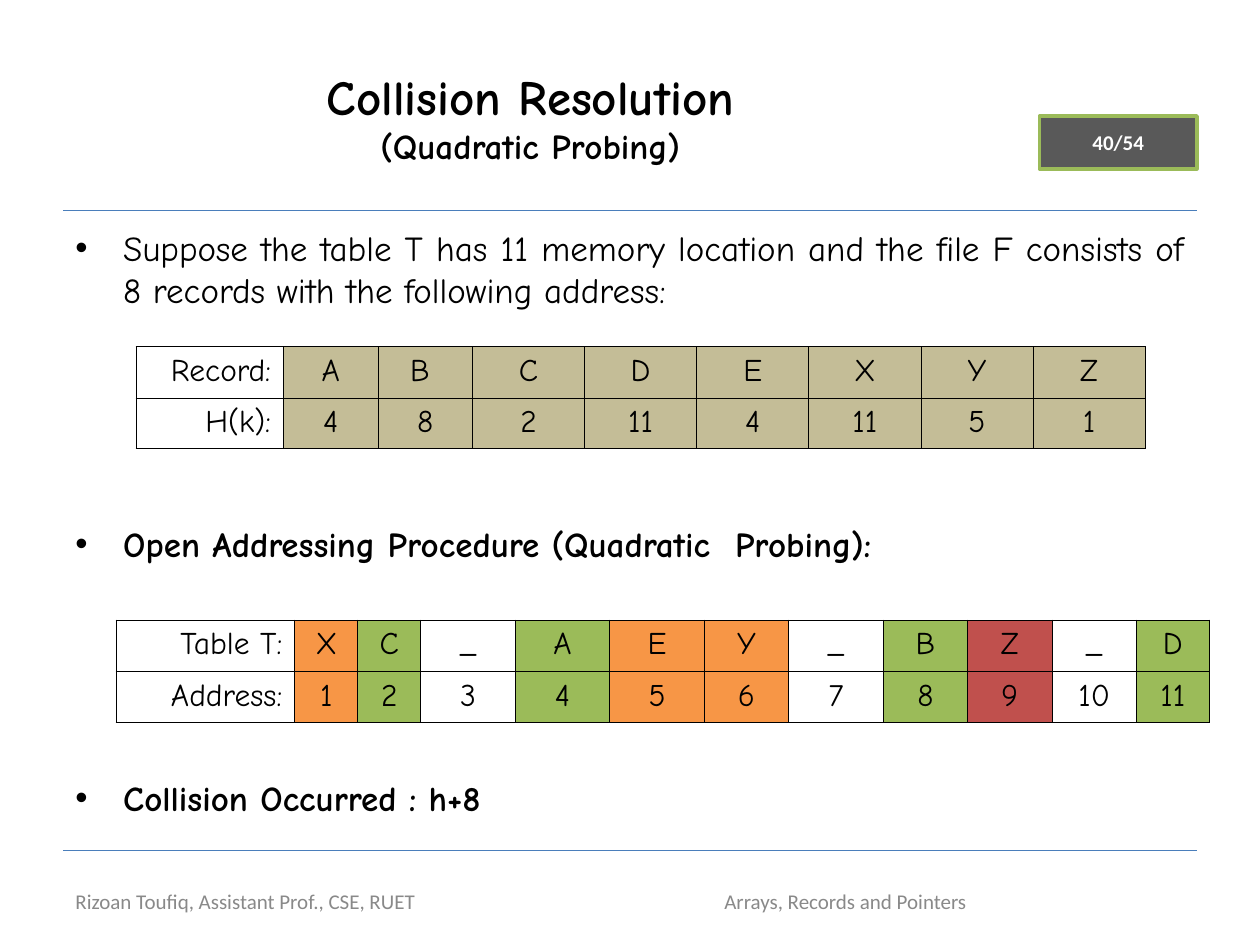
from dataclasses import dataclass

from lxml.etree import SubElement
from pptx import Presentation
from pptx.dml.color import RGBColor
from pptx.enum.shapes import MSO_CONNECTOR as Connector, MSO_SHAPE as Shape
from pptx.enum.text import MSO_ANCHOR as Anchor, MSO_AUTO_SIZE as AutoSize, PP_ALIGN as Align
from pptx.oxml import parse_xml
from pptx.oxml.ns import nsdecls, qn
from pptx.util import Inches, Pt

TAN, GREEN, ORANGE, RED = "C4BD97", "9BBB59", "F79646", "C0504D"


def color(value):
    return RGBColor.from_string(value)


@dataclass
class SlideBuilder:
    """Holds the lecture style and the slide being built."""

    slide: object
    font: str = "Comic Neue"
    small_font: str = "Calibri"
    ink: str = "000000"
    rule_color: str = "4A7EBB"

    def run(self, paragraph, text, size, bold=False, font=None, ink=None):
        run = paragraph.add_run()
        run.text = text
        run.font.size = Pt(size)
        run.font.bold = bold
        run.font.name = font or self.font
        run.font.color.rgb = color(ink or self.ink)

    def title(self, box, heading, subheading):
        shape = self.slide.shapes.title
        shape.left, shape.top, shape.width, shape.height = map(Inches, box)
        frame = shape.text_frame
        frame.auto_size = AutoSize.NONE
        frame.vertical_anchor = Anchor.MIDDLE
        paragraph = frame.paragraphs[0]
        paragraph.alignment = Align.CENTER
        self.run(paragraph, heading, 28, True)
        paragraph.add_line_break()
        self.run(paragraph, subheading, 20, True)

    def rule(self, top, left=0.5, right=9.5):
        line = self.slide.shapes.add_connector(
            Connector.STRAIGHT, Inches(left), Inches(top), Inches(right), Inches(top))
        line.line.color.rgb = color(self.rule_color)
        line.line.width = Pt(0.75)
        SubElement(line._element.spPr, qn("a:effectLst"))

    def badge(self, box, text):
        shape = self.slide.shapes.add_shape(Shape.RECTANGLE, *map(Inches, box))
        shape.shadow.inherit = False
        shape.fill.solid()
        shape.fill.fore_color.rgb = color("595959")
        shape.line.color.rgb = color(GREEN)
        shape.line.width = Pt(2)
        shape.text_frame.vertical_anchor = Anchor.MIDDLE
        paragraph = shape.text_frame.paragraphs[0]
        paragraph.alignment = Align.CENTER
        self.run(paragraph, text, 12, True, self.small_font, "FFFFFF")

    def text_frame(self, box):
        frame = self.slide.shapes.add_textbox(*map(Inches, box)).text_frame
        frame.word_wrap = True
        return frame

    def bullets(self, box, items):
        frame = self.text_frame(box)
        for index, (text, bold, space_before) in enumerate(items):
            paragraph = frame.add_paragraph() if index else frame.paragraphs[0]
            paragraph.alignment = Align.JUSTIFY
            paragraph.space_before = Pt(space_before)
            properties = paragraph._p.get_or_add_pPr()
            properties.set("marL", str(Inches(0.38)))
            properties.set("indent", str(Inches(-0.38)))
            SubElement(properties, qn("a:buFont"), typeface="Arial")
            SubElement(properties, qn("a:buChar"), char="•")
            self.run(paragraph, text, 20, bold)

    def footer(self, box, text, alignment):
        frame = self.text_frame(box)
        frame.vertical_anchor = Anchor.MIDDLE
        paragraph = frame.paragraphs[0]
        paragraph.alignment = alignment
        self.run(paragraph, text, 12, font=self.small_font, ink="898989")

    def border(self, cell):
        properties = cell._tc.get_or_add_tcPr()
        for index, side in enumerate(("lnL", "lnR", "lnT", "lnB")):
            properties.insert(index, parse_xml(
                f'<a:{side} {nsdecls("a")} w="{Pt(0.45)}"><a:solidFill>'
                f'<a:srgbClr val="{self.ink}"/></a:solidFill></a:{side}>'))

    def table(self, left, top, widths, rows, fills):
        heights = (0.41, 0.4)
        table = self.slide.shapes.add_table(
            len(rows), len(widths), Inches(left), Inches(top),
            Inches(sum(widths)), Inches(sum(heights))).table
        table.first_row = table.horz_banding = False
        for column, width in zip(table.columns, widths):
            column.width = Inches(width)
        for row, height, texts in zip(table.rows, heights, rows):
            row.height = Inches(height)
            for index, (cell, text, fill) in enumerate(zip(row.cells, texts, fills)):
                if fill:
                    cell.fill.solid()
                    cell.fill.fore_color.rgb = color(fill)
                else:
                    cell.fill.background()
                self.border(cell)
                paragraph = cell.text_frame.paragraphs[0]
                paragraph.alignment = Align.CENTER if index else Align.RIGHT
                self.run(paragraph, text, 18)


def main():
    presentation = Presentation()
    presentation.slide_width, presentation.slide_height = Inches(10), Inches(7.5)
    builder = SlideBuilder(presentation.slides.add_slide(presentation.slide_layouts[5]))

    for top in (1.67, 6.75):
        builder.rule(top)
    builder.badge((8.25, 0.92, 1.25, 0.42), "40/54")
    builder.title((0.5, 0.3, 7.42, 1.25), "Collision Resolution", "(Quadratic Probing)")
    builder.bullets((0.5, 1.75, 9, 4.95), [
        ("Suppose the table T has 11 memory location and the file F consists of "
         "8 records with the following address:", False, 5),
        ("Open Addressing Procedure (Quadratic  Probing):", True, 121),
        ("Collision Occurred : h+8", True, 121),
    ])
    builder.footer((0.5, 6.95, 4.42, 0.4),
                   "Rizoan Toufiq, Assistant Prof., CSE, RUET", Align.LEFT)
    builder.footer((5.25, 6.95, 2.92, 0.4), "Arrays, Records and Pointers", Align.CENTER)

    builder.table(
        1.08, 2.75, [1.17] + [0.75] * 2 + [0.89] * 6,
        [["Record:", "A", "B ", "C", "D", "E", "X", "Y", "Z"],
         ["H(k):", "4", "8", "2", "11", "4", "11", "5", "1"]],
        [None] + [TAN] * 8)
    builder.table(
        0.92, 4.92,
        [1.42, 0.5, 0.5, 0.75, 0.75, 0.75, 0.67, 0.75, 0.67, 0.67, 0.67, 0.58],
        [["Table T:", *"XC_AEY_BZ_D"],
         ["Address:", *map(str, range(1, 12))]],
        [None, ORANGE, GREEN, None, GREEN, ORANGE, ORANGE, None, GREEN, RED, None, GREEN])

    presentation.save("out.pptx")


if __name__ == "__main__":
    main()
